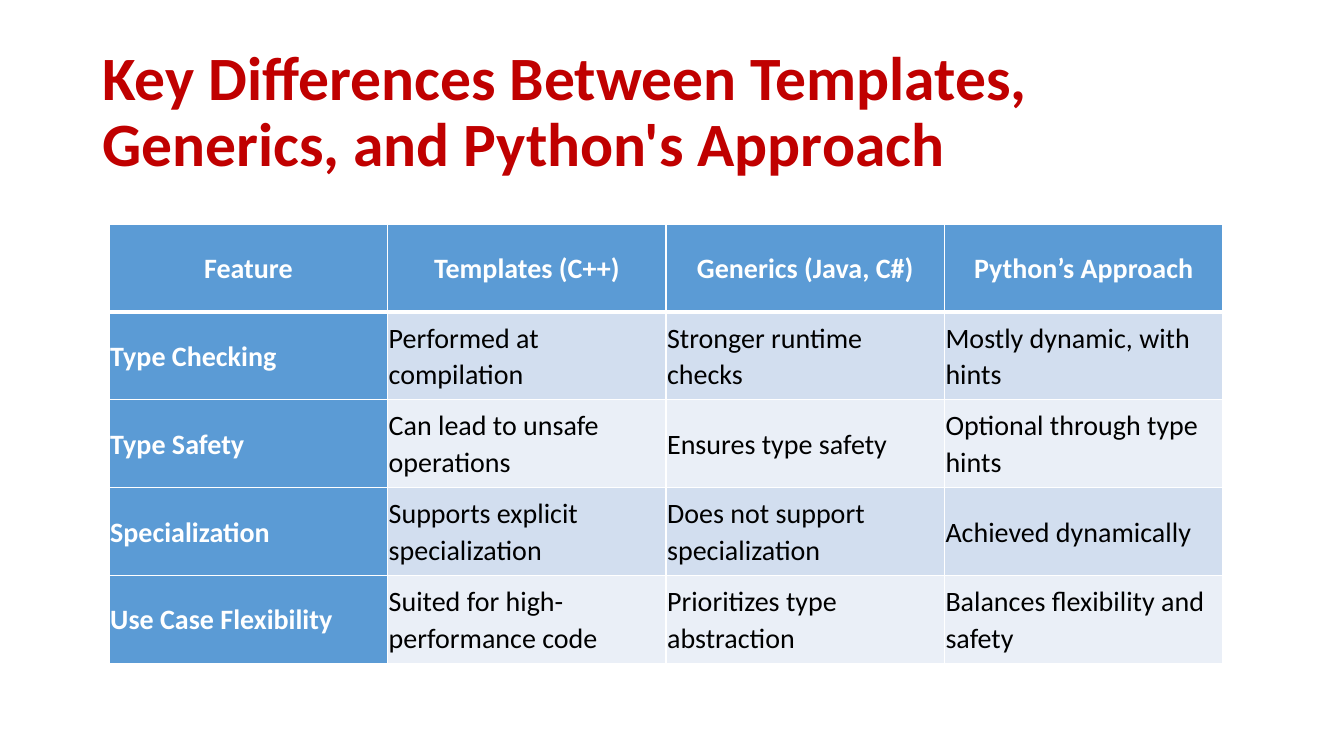
from dataclasses import dataclass

from lxml import etree
from pptx import Presentation
from pptx.dml.color import RGBColor
from pptx.enum import text
from pptx.oxml import ns
from pptx.util import Pt


@dataclass(frozen=True)
class Theme:
    font: str = "Calibri"
    title: str = "C00000"
    head: str = "5B9BD5"
    bands: tuple = ("D2DEEF", "EAEFF7")
    light: str = "FFFFFF"
    dark: str = "000000"
    title_size: int = 44
    cell_size: int = 20


theme = Theme()


def style(para, size, color, bold, spacing):
    para.font.name = theme.font
    para.font.size = Pt(size)
    para.font.bold = bold
    para.font.color.rgb = RGBColor.from_string(color)
    para.line_spacing = spacing


def border(cell, side, width):
    """Add one solid line to a cell; side is L, R, T or B, in that order."""
    line = etree.SubElement(cell._tc.get_or_add_tcPr(), ns.qn(f"a:ln{side}"), w=str(Pt(width)))
    fill = etree.SubElement(line, ns.qn("a:solidFill"))
    etree.SubElement(fill, ns.qn("a:srgbClr"), val=theme.light)


rows = [
    ["Feature", "Templates (C++)", "Generics (Java, C#)", "Python’s Approach"],
    ["Type Checking", "Performed at compilation", "Stronger runtime checks",
     "Mostly dynamic, with hints"],
    ["Type Safety", "Can lead to unsafe operations", "Ensures type safety",
     "Optional through type hints"],
    ["Specialization", "Supports explicit specialization",
     "Does not support specialization", "Achieved dynamically"],
    ["Use Case Flexibility", "Suited for high-performance code",
     "Prioritizes type abstraction", "Balances flexibility and safety"],
]

deck = Presentation()
deck.slide_width, deck.slide_height = Pt(960), Pt(540)
slide = deck.slides.add_slide(deck.slide_layouts[6])

title = slide.shapes.add_textbox(Pt(66), Pt(28.8), Pt(828), Pt(104.4)).text_frame
title.word_wrap = True
title.vertical_anchor = text.MSO_ANCHOR.MIDDLE
title.text = "Key Differences Between Templates, Generics, and Python's Approach"
style(title.paragraphs[0], theme.title_size, theme.title, True, 0.9)

col_width, row_height = 198.9, 62.75
table = slide.shapes.add_table(
    len(rows), len(rows[0]), Pt(78), Pt(160),
    Pt(col_width * len(rows[0])), Pt(row_height * len(rows))).table
table.first_col = True
for col in table.columns:
    col.width = Pt(col_width)
for row in table.rows:
    row.height = Pt(row_height)

for r, words in enumerate(rows):
    for c, word in enumerate(words):
        cell = table.cell(r, c)
        header = r == 0 or c == 0
        cell.text = word
        cell.vertical_anchor = text.MSO_ANCHOR.MIDDLE
        cell.margin_left = cell.margin_right = Pt(0.75)
        cell.margin_top = cell.margin_bottom = Pt(0.75)
        para = cell.text_frame.paragraphs[0]
        para.alignment = text.PP_ALIGN.CENTER if r == 0 else text.PP_ALIGN.LEFT
        style(para, theme.cell_size, theme.light if header else theme.dark, header, 1.07)
        for side in "LRTB":
            under_head = (r, side) in ((0, "B"), (1, "T"))
            border(cell, side, 3 if under_head else 1)
        cell.fill.solid()
        color = theme.head if header else theme.bands[(r - 1) % 2]
        cell.fill.fore_color.rgb = RGBColor.from_string(color)

deck.save("out.pptx")
